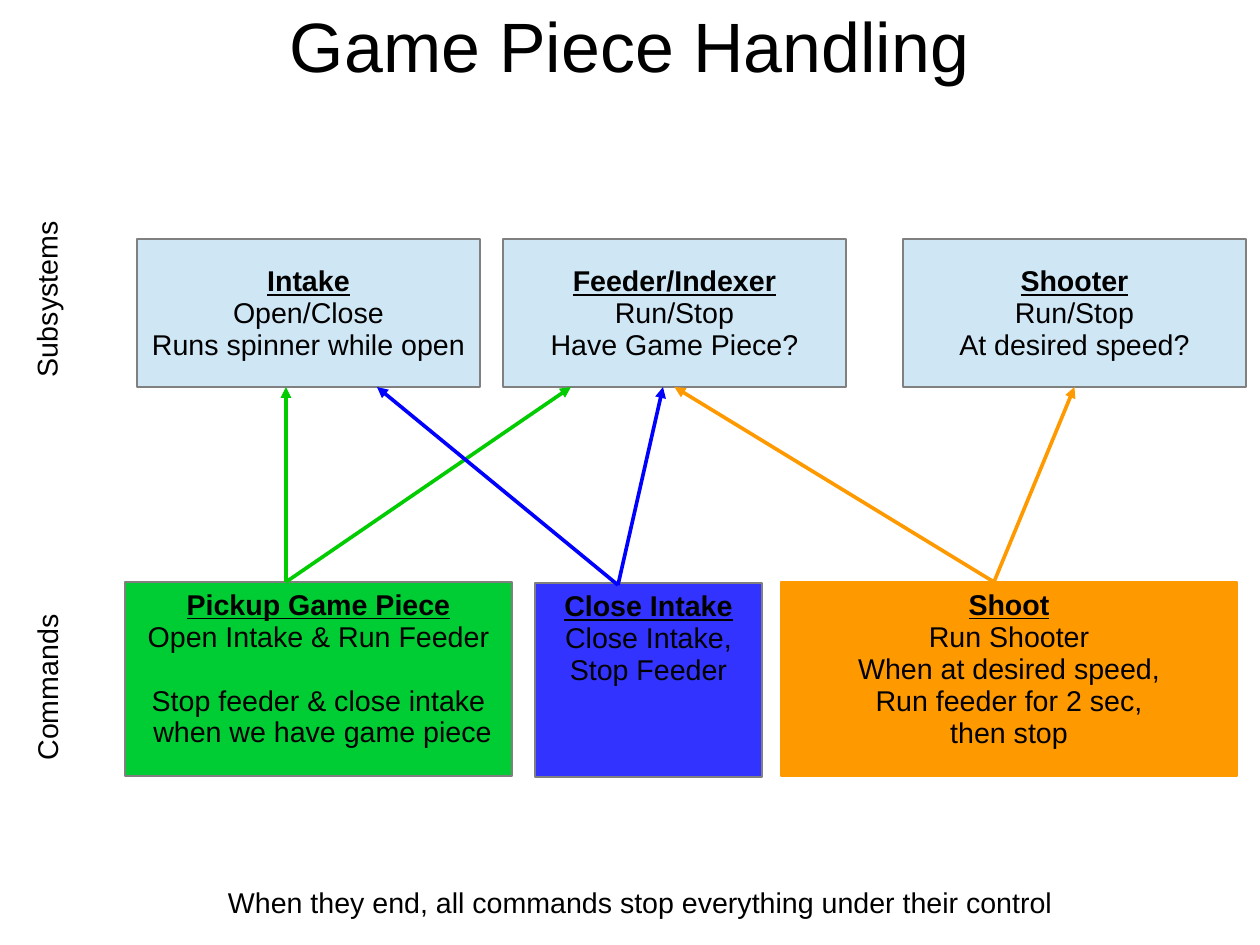
from collections import namedtuple
from dataclasses import dataclass

from lxml.etree import SubElement
from pptx import Presentation
from pptx.dml.color import RGBColor
from pptx.enum.shapes import MSO_CONNECTOR as Connector, MSO_SHAPE as Preset
from pptx.enum.text import MSO_ANCHOR as Anchor, PP_ALIGN as Align
from pptx.oxml.ns import qn
from pptx.util import Emu, Pt

EMU_PER_PX = 8000
BOTTOM = 2
Box = namedtuple("Box", "left top width height")


@dataclass(frozen=True)
class Theme:
    font: str = "Arial"
    title_size: int = 44
    body_size: int = 18
    line_spacing: float = 0.93
    blank_line: int = 20
    border_width: float = 0.75
    arrow_width: float = 2.3
    text: str = "000000"
    border: str = "808080"
    subsystem: str = "CFE7F5"
    pickup: str = "00CC33"
    close: str = "3333FF"
    shoot: str = "FF9900"
    pickup_arrow: str = "00CC00"
    close_arrow: str = "0000FF"


THEME = Theme()


def px(length):
    return Emu(length * EMU_PER_PX)


def color(value):
    return RGBColor.from_string(value)


def place(box):
    return [px(length) for length in box]


def set_frame(text_frame, anchor, margins, wrap=True):
    text_frame.word_wrap = wrap
    text_frame.vertical_anchor = anchor
    left, top, right, bottom = place(margins)
    text_frame.margin_left, text_frame.margin_top = left, top
    text_frame.margin_right, text_frame.margin_bottom = right, bottom


def format_paragraph(paragraph, align, size=THEME.body_size, heading=False):
    paragraph.alignment = align
    paragraph.line_spacing = THEME.line_spacing
    for run in paragraph.runs:
        run.font.name = THEME.font
        run.font.size = Pt(size)
        run.font.bold = heading
        run.font.underline = heading
        run.font.color.rgb = color(THEME.text)


def add_title(slide, box, text):
    shape = slide.shapes.add_textbox(*place(box))
    set_frame(shape.text_frame, Anchor.MIDDLE, (0, 5, 0, 0))
    shape.text_frame.text = text
    format_paragraph(shape.text_frame.paragraphs[0], Align.CENTER, THEME.title_size)


def add_label(slide, box, text, rotation=0):
    shape = slide.shapes.add_textbox(*place(box))
    shape.rotation = rotation
    set_frame(shape.text_frame, Anchor.TOP, (11, 8, 0, 6), wrap=False)
    shape.text_frame.text = text
    format_paragraph(shape.text_frame.paragraphs[0], Align.LEFT)


def add_card(slide, box, fill, border, anchor, lines):
    shape = slide.shapes.add_shape(Preset.ROUNDED_RECTANGLE, *place(box))
    shape.adjustments[0] = 0
    shape.shadow.inherit = False
    shape.fill.solid()
    shape.fill.fore_color.rgb = color(fill)
    shape.line.color.rgb = color(border)
    shape.line.width = Pt(THEME.border_width)
    text_frame = shape.text_frame
    set_frame(text_frame, anchor, (11, 8, 11, 6))
    for index, line in enumerate(lines):
        paragraph = text_frame.add_paragraph() if index else text_frame.paragraphs[0]
        paragraph.text = line
        format_paragraph(paragraph, Align.CENTER, heading=index == 0)
    return shape


def add_subsystems(slide, box):
    add_label(slide, Box(box.left - 180, box.top + 39, 177, 43), "Subsystems", 270)
    subsystems = [
        (0, ["Intake", "Open/Close", "Runs spinner while open"]),
        (366, ["Feeder/Indexer", "Run/Stop", "Have Game Piece?"]),
        (766, ["Shooter", "Run/Stop", "At desired speed?"]),
    ]
    return [
        add_card(slide, Box(box.left + offset, box.top, 343, box.height),
                 THEME.subsystem, THEME.border, Anchor.MIDDLE, lines)
        for offset, lines in subsystems
    ]


def add_commands(slide, box):
    add_label(slide, Box(box.left - 163, box.top + 84, 168, 43), "Commands", 270)
    commands = [
        (0, 0, 387, THEME.pickup, THEME.border,
         ["Pickup Game Piece", "Open Intake & Run Feeder",
          "Stop feeder & close intake\n when we have game piece"]),
        (410, 1, 227, THEME.close, THEME.border,
         ["Close Intake", "Close Intake,\nStop Feeder"]),
        (656, 0, 456, THEME.shoot, THEME.shoot,
         ["Shoot", "Run Shooter", "When at desired speed,",
          "Run feeder for 2 sec,\nthen stop"]),
    ]
    cards = [
        add_card(slide, Box(box.left + offset, box.top + drop, width, box.height),
                 fill, border, Anchor.TOP, lines)
        for offset, drop, width, fill, border, lines in commands
    ]
    pickup = cards[0]
    pickup.text_frame.paragraphs[2].space_before = Pt(THEME.blank_line)


def add_arrow(slide, start, end, line_color, target=None):
    arrow = slide.shapes.add_connector(Connector.STRAIGHT, *place(start + end))
    if target is not None:
        arrow.end_connect(target, BOTTOM)
    arrow.line.color.rgb = color(line_color)
    arrow.line.width = Pt(THEME.arrow_width)
    SubElement(arrow.line._get_or_add_ln(), qn("a:tailEnd"), type="triangle")
    SubElement(arrow._element.spPr, qn("a:effectLst"))


def add_arrows(slide, box, feeder, shooter):
    bottom = box.top + box.height
    arrows = [
        (0, 0, 0, THEME.pickup_arrow, None),
        (0, 0, 285, THEME.pickup_arrow, None),
        (332, 3, 91, THEME.close_arrow, None),
        (708, 0, 788, THEME.shoot, shooter),
        (708, 0, 388, THEME.shoot, feeder),
        (332, 3, 377, THEME.close_arrow, None),
    ]
    for start, drop, end, line_color, target in arrows:
        add_arrow(slide, (box.left + start, bottom + drop),
                  (box.left + end, box.top), line_color, target)


def main():
    presentation = Presentation()
    presentation.slide_width, presentation.slide_height = px(1260), px(945)
    slide = presentation.slides.add_slide(presentation.slide_layouts[6])
    add_title(slide, Box(63, 3, 1134, 88), "Game Piece Handling")
    intake, feeder, shooter = add_subsystems(slide, Box(137, 239, 1109, 148))
    add_commands(slide, Box(125, 582, 1112, 194))
    add_arrows(slide, Box(286, 387, 788, 195), feeder, shooter)
    add_label(slide, Box(217, 880, 845, 43),
              "When they end, all commands stop everything under their control")
    presentation.save("out.pptx")


if __name__ == "__main__":
    main()
